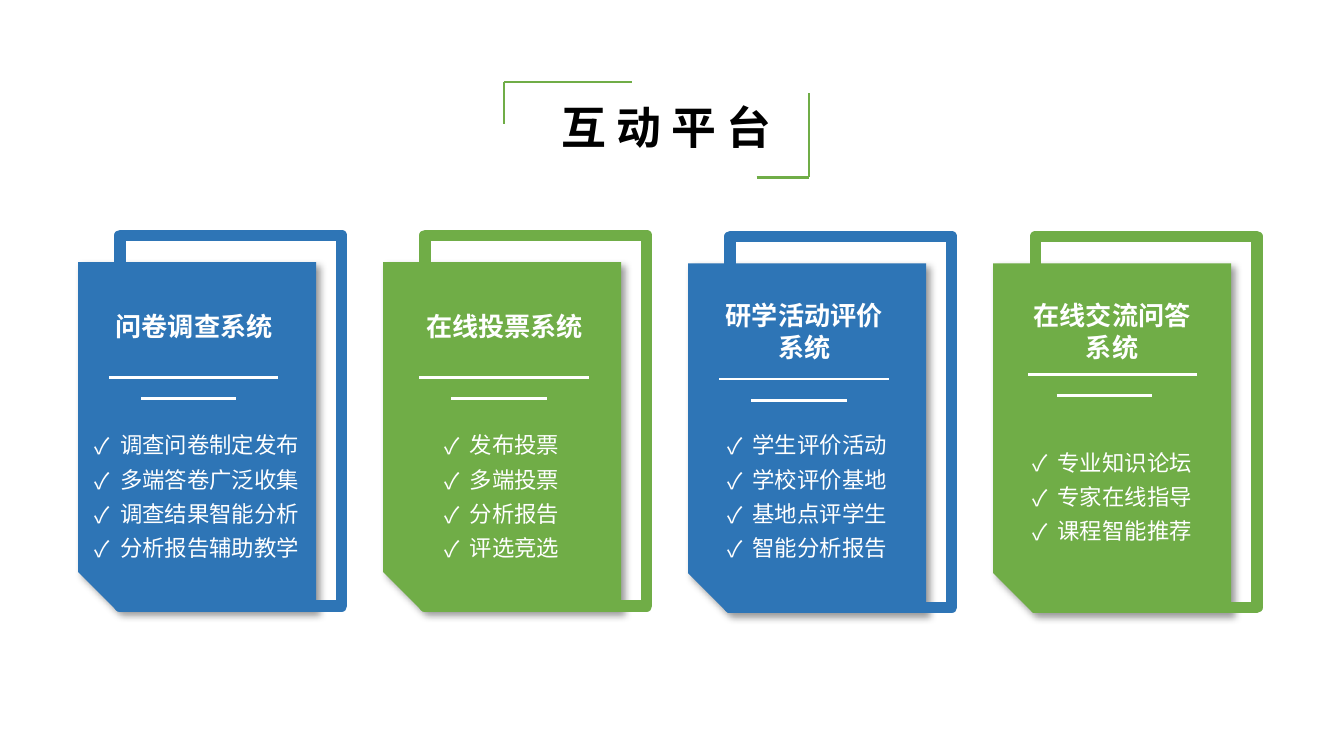
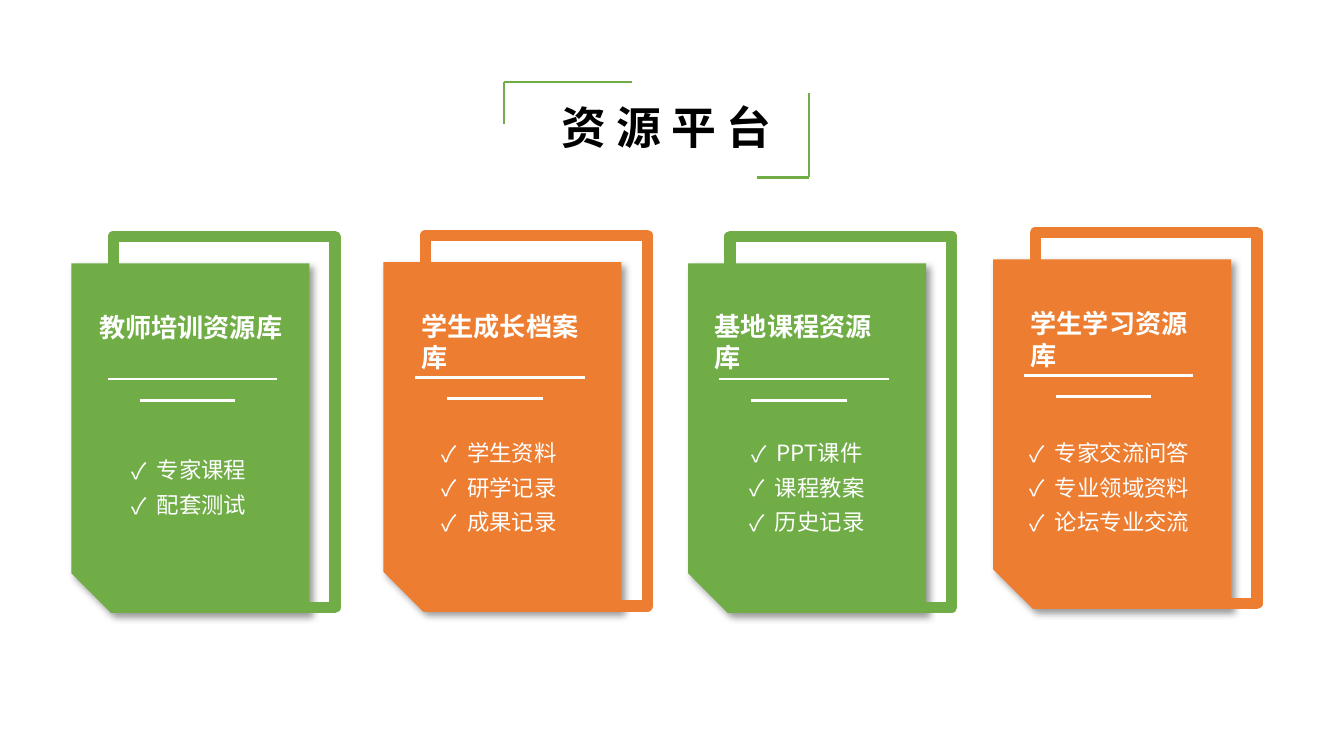
from dataclasses import dataclass

from lxml import etree
from pptx import Presentation
from pptx.dml.color import RGBColor
from pptx.enum import shapes, text
from pptx.oxml import ns
from pptx.util import Pt

BLUE = RGBColor(0x2E, 0x75, 0xB6)
GREEN = RGBColor(0x70, 0xAD, 0x47)
ORANGE = RGBColor(0xED, 0x7D, 0x31)
WHITE = RGBColor(0xFF, 0xFF, 0xFF)
BLACK = RGBColor(0, 0, 0)
FONT = "Noto Sans CJK SC"
LEFT, CENTER = text.PP_ALIGN.LEFT, text.PP_ALIGN.CENTER

COMPARISON_LAYOUT = 4  # a title and four body placeholders
CARD_W, CARD_H = 127.5, 187.2
FRAME_DX, FRAME_DY, FRAME_W, FRAME_H = 22.5, -14.4, 118.8, 198.7
WIDE_RULE, NARROW_RULE = 90.7, 51
HEAD_LINE, LIST_LINE, INSETS = 16.9, 18.4, 7.2
TITLE_CORNERS = [
    (405.4, 95, 433.4, 95),
    (270, 43.9, 270, 66.2),
    (338.4, 43.9, 270, 43.9),
    (433.4, 95, 433.4, 49.7),
]


@dataclass
class Card:
    left: float
    top: float
    color: RGBColor
    heading: list
    head_box: tuple  # left, top, width
    items: list
    list_left: float
    rule_left: float
    rule_dy: float = 62
    narrow_dx: float = 17.2
    list_w: float = 117.4
    head_align: int = CENTER


def add(parent, tag, **attrs):
    return etree.SubElement(parent, ns.qn(tag), attrs)


def write(sp, lines, size, color, bold=False, align=LEFT, spacing=None, bullet=None):
    """Fill a shape with one formatted paragraph per line."""
    tf = sp.text_frame
    tf.word_wrap = True
    tf.auto_size = text.MSO_AUTO_SIZE.NONE
    tf.vertical_anchor = text.MSO_ANCHOR.TOP
    for i, line in enumerate(lines):
        p = tf.paragraphs[0] if i == 0 else tf.add_paragraph()
        p.alignment = align
        p.space_before = Pt(0)
        if spacing:
            p.line_spacing = Pt(spacing)
        if bullet:
            pPr = p._p.get_or_add_pPr()
            pPr.set("marL", str(Pt(13.5)))
            pPr.set("indent", str(Pt(-13.5)))
            add(pPr, "a:buFont", typeface=FONT)
            add(pPr, "a:buChar", char=bullet)
        r = p.add_run()
        r.text = line
        r.font.size, r.font.bold = Pt(size), bold
        r.font.color.rgb = color
        r.font.name = FONT
        add(r._r.get_or_add_rPr(), "a:ea", typeface=FONT)


class Deck:
    def __init__(self):
        self.prs = Presentation()
        self.prs.slide_width, self.prs.slide_height = Pt(720), Pt(405)
        self.s = None

    def slide(self, title):
        layout = self.prs.slide_layouts[COMPARISON_LAYOUT]
        self.s = self.prs.slides.add_slide(layout)
        sp = self.s.shapes.title
        self.place(sp, 293.8, 49.7, 131.8, 36)
        write(sp, [title], 24, BLACK, bold=True)
        for ends in TITLE_CORNERS:
            self.line(*ends, GREEN)

    def place(self, sp, x, y, w, h):
        sp.left, sp.top, sp.width, sp.height = Pt(x), Pt(y), Pt(w), Pt(h)

    def line(self, x1, y1, x2, y2, color):
        c = self.s.shapes.add_connector(
            shapes.MSO_CONNECTOR.STRAIGHT, Pt(x1), Pt(y1), Pt(x2), Pt(y2))
        c.line.color.rgb = color
        c.line.width = Pt(1.5)
        add(c._element.spPr, "a:effectLst")

    def panel(self, x, y, color):
        """Add the filled card with its lower left corner cut and a soft shadow."""
        sp = self.s.shapes.add_shape(
            shapes.MSO_SHAPE.SNIP_1_RECTANGLE, Pt(x), Pt(y), Pt(CARD_W), Pt(CARD_H))
        sp.rotation = 180
        sp.fill.solid()
        sp.fill.fore_color.rgb = color
        sp.line.fill.background()
        effects = add(sp._element.spPr, "a:effectLst")
        shadow = add(effects, "a:outerShdw", blurRad=str(Pt(4)), dist=str(Pt(3)),
                     dir="2700000", algn="tl", rotWithShape="0")
        add(add(shadow, "a:srgbClr", val="000000"), "a:alpha", val="40000")

    def frame(self, x, y, color):
        sp = self.s.shapes.add_shape(
            shapes.MSO_SHAPE.RECTANGLE, Pt(x), Pt(y), Pt(FRAME_W), Pt(FRAME_H))
        sp.shadow.inherit = False
        sp.fill.background()
        sp.line.color.rgb = color
        sp.line.width = Pt(6)

    def heading(self, lines, x, y, w, align):
        h = INSETS + HEAD_LINE * len(lines)
        sp = self.s.shapes.add_textbox(Pt(x), Pt(y), Pt(w), Pt(h))
        write(sp, lines, 14, WHITE, bold=True, align=align)

    def checklist(self, idx, items, x, center_y, w):
        """Fill a body placeholder and bring it in front of the cards."""
        sp = self.s.placeholders[idx]
        h = INSETS + LIST_LINE * len(items)
        self.place(sp, x, center_y - h / 2, w, h)
        write(sp, items, 12, WHITE, align=CENTER, spacing=LIST_LINE, bullet="✓")
        sp._element.getparent().append(sp._element)

    def card(self, idx, card, list_center):
        self.panel(card.left, card.top, card.color)
        self.frame(card.left + FRAME_DX, card.top + FRAME_DY, card.color)
        self.heading(card.heading, *card.head_box, card.head_align)
        x, y = card.rule_left, card.top + card.rule_dy
        self.line(x, y, x + WIDE_RULE, y, WHITE)
        x, y = x + card.narrow_dx, y + 11.3
        self.line(x, y, x + NARROW_RULE, y, WHITE)
        self.checklist(idx, card.items, card.list_left, list_center, card.list_w)


INTERACTION = [
    Card(41.8, 140.4, BLUE, ["问卷调查系统"], (54.5, 162.7, 99),
         ["调查问卷制定发布", "多端答卷广泛收集", "调查结果智能分析", "分析报告辅助教学"],
         41.8, 58.5, list_w=CARD_W),
    Card(205.2, 140.4, GREEN, ["在线投票系统"], (216, 162.7, 108.7),
         ["发布投票", "多端投票", "分析报告", "评选竞选"], 210.2, 224.6),
    Card(368.6, 141.1, BLUE, ["研学活动评价", "系统"], (381.4, 157, 99),
         ["学生评价活动", "学校评价基地", "基地点评学生", "智能分析报告"], 373.7, 385.4),
    Card(532.1, 141.1, GREEN, ["在线交流问答", "系统"], (532.1, 157, 127.5),
         ["专业知识论坛", "专家在线指导", "课程智能推荐"], 537.1, 550.8,
         rule_dy=59.5, narrow_dx=15.3),
]
RESOURCES = [
    Card(38.2, 141.1, GREEN, ["教师培训资源库"], (44.6, 163.4, 115.2),
         ["专家课程", "配套测试"], 42.5, 57.8),
    Card(205.4, 140.4, ORANGE, ["学生成长档案库"], (218.6, 162.7, 112),
         ["学生资料", "研学记录", "成果记录"], 208.8, 222.5, head_align=LEFT),
    Card(368.6, 141.1, GREEN, ["基地课程资源库"], (375.8, 162.7, 112),
         ["PPT课件", "课程教案", "历史记录"], 373.7, 385.4, head_align=LEFT),
    Card(532.1, 139, ORANGE, ["学生学习资源库"], (545, 161.3, 112),
         ["专家交流问答", "专业领域资料", "论坛专业交流"], 535.7, 548.6, head_align=LEFT),
]


def main():
    deck = Deck()
    for title, cards, list_center in [("互 动 平 台", INTERACTION, 264),
                                      ("资 源 平 台", RESOURCES, 259)]:
        deck.slide(title)
        for idx, card in enumerate(cards, start=1):
            deck.card(idx, card, list_center)
    deck.prs.save("out.pptx")


if __name__ == "__main__":
    main()
